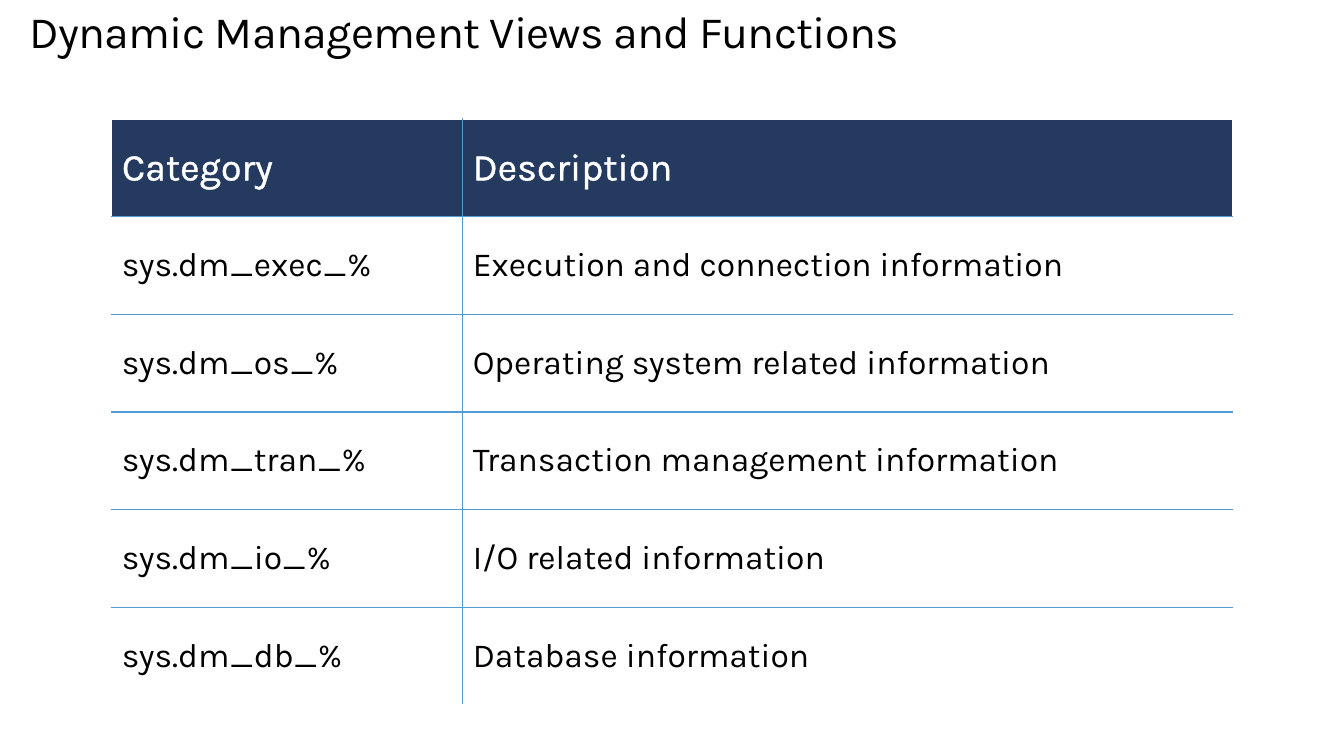
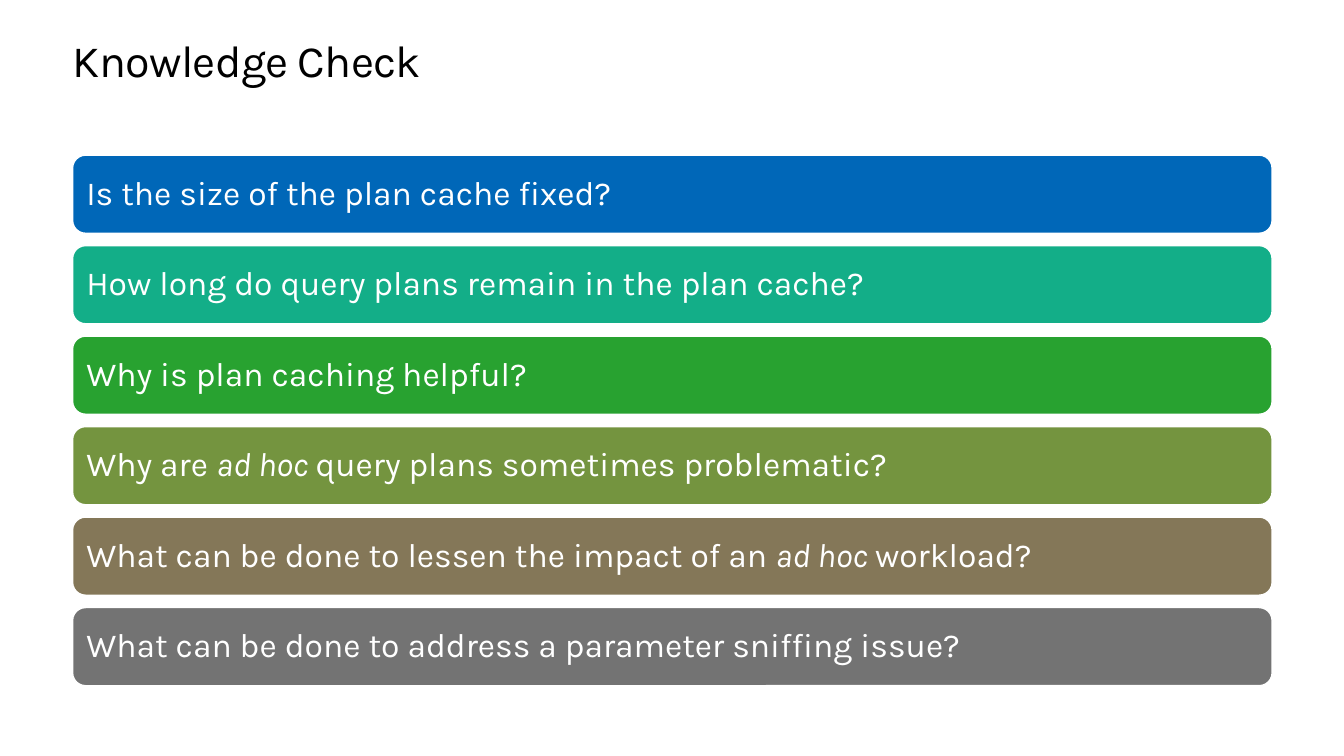
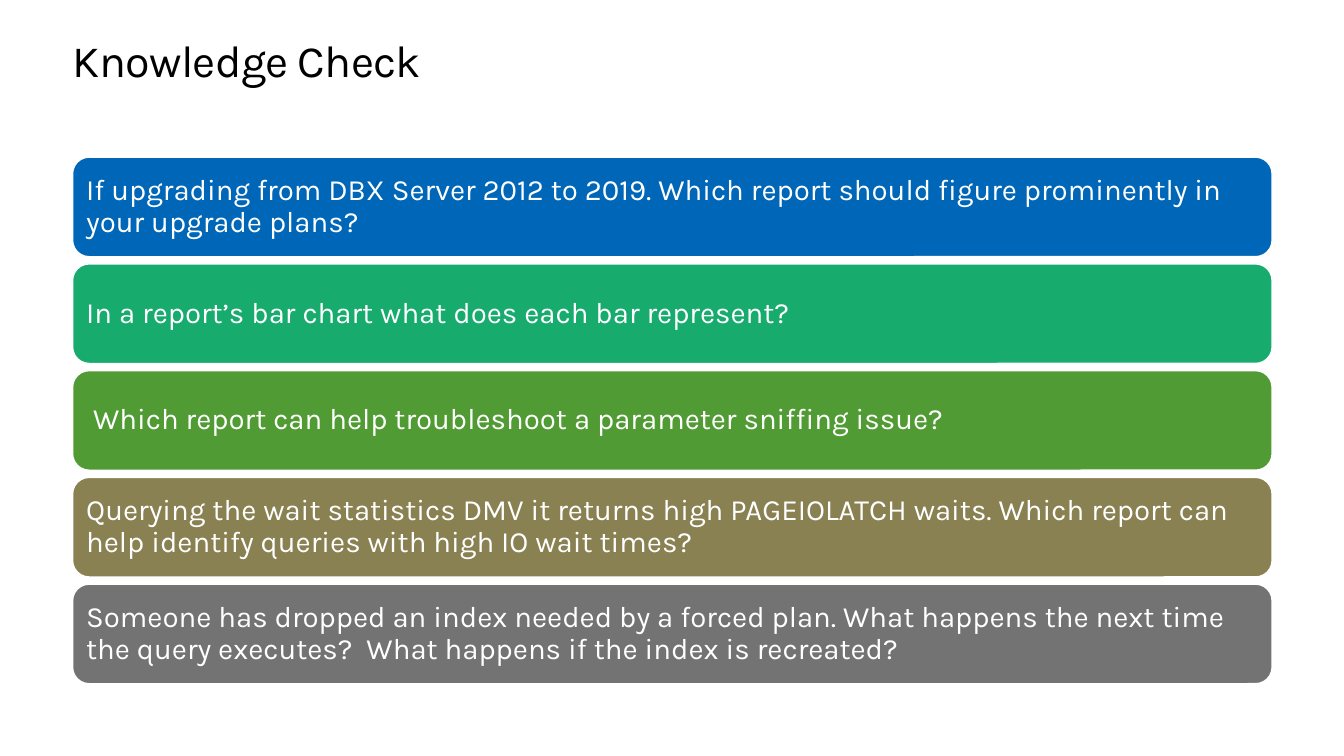
"""Build three training slides: a table of view categories and two knowledge checks."""
from lxml.etree import SubElement
from pptx import Presentation
from pptx.dml.color import RGBColor
from pptx.enum.shapes import MSO_SHAPE as SHAPE
from pptx.enum.text import MSO_ANCHOR as ANCHOR, MSO_AUTO_SIZE as AUTO_SIZE, PP_ALIGN as ALIGN
from pptx.oxml import parse_xml
from pptx.oxml.ns import nsdecls, qn
from pptx.util import Cm, Pt

COLORS = {
    "black": "000000", "white": "FFFFFF", "navy": "243A5E", "rule": "569AD2",
    "blue": "0067B8", "teal": "13AE88", "green": "28A230", "olive": "74943F",
    "brown": "847758", "gray": "737373", "jade": "18AB6E", "leaf": "519B34",
    "khaki": "898152",
}
FONT = "Karla"

CATEGORIES = {
    "title": "Dynamic Management Views and Functions",
    "title_box": (0.74, 0.18, 32.38, 1.27),
    "left": 2.82, "top": 3.0, "columns": (8.84, 19.4), "row_height": 2.46,
    "rows": [
        ("Category", "Description"),
        ("sys.dm_exec_%", "Execution and connection information"),
        ("sys.dm_os_%", "Operating system related information"),
        ("sys.dm_tran_%", "Transaction management information"),
        ("sys.dm_io_%", "I/O related information"),
        ("sys.dm_db_%", "Database information"),
    ],
}

CHECK_TITLE = "Knowledge Check"
CHECK_TITLE_BOX = (1.83, 0.89, 30.23, 1.27)
BAR_LEFT, BAR_WIDTH = 1.83, 30.23

# Text between asterisks is italic.
CHECKS = [
    {
        "top": 3.91, "height": 1.97, "gap": 0.31, "size": 24, "inset": 0.25,
        "bars": [
            ("blue", "Is the size of the plan cache fixed?"),
            ("teal", "How long do query plans remain in the plan cache?"),
            ("green", "Why is plan caching helpful?"),
            ("olive", "Why are *ad hoc *query plans sometimes problematic?"),
            ("brown", "What can be done to lessen the impact of an *ad hoc *workload?"),
            ("gray", "What can be done to address a parameter sniffing issue?"),
        ],
    },
    {
        "top": 3.96, "height": 2.51, "gap": 0.18, "size": 21, "inset": 0.22,
        "bars": [
            ("blue", "If upgrading from DBX Server 2012 to 2019. Which report should "
                     "figure prominently in your upgrade plans?"),
            ("jade", "In a report’s bar chart what does each bar represent?"),
            ("leaf", " Which report can help troubleshoot a parameter sniffing issue?"),
            ("khaki", "Querying the wait statistics DMV it returns high PAGEIOLATCH waits. "
                      "Which report can help identify queries with high IO wait times?"),
            ("gray", "Someone has dropped an index needed by a forced plan. What happens "
                     "the next time the query executes?  What happens if the index is "
                     "recreated?"),
        ],
    },
]


def rgb(name):
    """Return the named colour."""
    return RGBColor.from_string(COLORS[name])


def set_attrs(obj, **values):
    """Set several attributes of one object."""
    for name, value in values.items():
        setattr(obj, name, value)


def add_run(p, text, size, color, italic=False):
    """Add a formatted run to a paragraph."""
    r = p.add_run()
    r.text = text
    set_attrs(r.font, name=FONT, size=Pt(size), bold=False, italic=italic)
    r.font.color.rgb = rgb(color)
    return r


def add_slide(prs, title, box):
    """Add a title-only slide with the shared title style."""
    s = prs.slides.add_slide(prs.slide_layouts[5])
    sp = s.shapes.title
    set_attrs(sp, **dict(zip(("left", "top", "width", "height"), map(Cm, box))))
    tf = sp.text_frame
    set_attrs(tf, margin_left=0, margin_top=0, margin_right=0, margin_bottom=0,
              vertical_anchor=ANCHOR.TOP, word_wrap=True,
              auto_size=AUTO_SIZE.SHAPE_TO_FIT_TEXT)
    p = tf.paragraphs[0]
    set_attrs(p, alignment=ALIGN.LEFT, line_spacing=Pt(36.2))
    r = add_run(p, title, 32, "black")
    r.font._element.set("spc", "-50")
    return s


def set_borders(cell, **sides):
    """Draw the cell's borders in the given colours."""
    tc_pr = cell._tc.get_or_add_tcPr()
    for side, color in sides.items():
        ln = SubElement(tc_pr, qn(f"a:ln{side}"), w=str(Pt(1)))
        fill = SubElement(ln, qn("a:solidFill"))
        SubElement(fill, qn("a:srgbClr"), val=COLORS[color])


def add_outline(r, color):
    """Outline the letters of a run."""
    r.font._element.insert(0, parse_xml(
        f'<a:ln {nsdecls("a")} w="{Pt(0.75)}"><a:solidFill>'
        f'<a:srgbClr val="{COLORS[color]}"/></a:solidFill></a:ln>'))


def add_categories(s, spec):
    """Add the table of view categories."""
    rows, columns = spec["rows"], spec["columns"]
    last_row, last_col = len(rows) - 1, len(columns) - 1
    table = s.shapes.add_table(
        len(rows), len(columns), Cm(spec["left"]), Cm(spec["top"]),
        Cm(sum(columns)), Cm(spec["row_height"] * len(rows))).table
    table.horz_banding = False
    for column, width in zip(table.columns, columns):
        column.width = Cm(width)
    for i, texts in enumerate(rows):
        table.rows[i].height = Cm(spec["row_height"])
        header = i == 0
        for j, text in enumerate(texts):
            cell = table.cell(i, j)
            cell.vertical_anchor = ANCHOR.MIDDLE
            set_borders(cell,
                        L="white" if j == 0 else "rule",
                        R="white" if j == last_col else "rule",
                        T="white" if header else "rule",
                        B="white" if i == last_row else "rule")
            cell.fill.solid()
            cell.fill.fore_color.rgb = rgb("navy" if header else "white")
            r = add_run(cell.text_frame.paragraphs[0], text,
                        27 if header else 24, "white" if header else "black")
            if header:
                add_outline(r, "white")


def add_bars(s, check):
    """Add one rounded bar for each question."""
    for i, (color, text) in enumerate(check["bars"]):
        top = check["top"] + i * (check["height"] + check["gap"])
        sp = s.shapes.add_shape(SHAPE.ROUNDED_RECTANGLE, Cm(BAR_LEFT), Cm(top),
                                Cm(BAR_WIDTH), Cm(check["height"]))
        sp.shadow.inherit = False
        sp.fill.solid()
        sp.fill.fore_color.rgb = rgb(color)
        sp.line.color.rgb = rgb("white")
        sp.line.width = Pt(1)
        tf = sp.text_frame
        inset = Cm(check["inset"])
        set_attrs(tf, margin_left=inset, margin_top=inset, margin_right=inset,
                  margin_bottom=inset, vertical_anchor=ANCHOR.MIDDLE, word_wrap=True)
        p = tf.paragraphs[0]
        set_attrs(p, alignment=ALIGN.LEFT, line_spacing=0.9)
        for k, part in enumerate(text.split("*")):
            add_run(p, part, check["size"], "white", italic=k % 2 == 1)


def main():
    """Build and save the presentation."""
    prs = Presentation()
    set_attrs(prs, slide_width=Cm(33.87), slide_height=Cm(19.05))
    add_categories(add_slide(prs, CATEGORIES["title"], CATEGORIES["title_box"]), CATEGORIES)
    for check in CHECKS:
        add_bars(add_slide(prs, CHECK_TITLE, CHECK_TITLE_BOX), check)
    prs.save("out.pptx")


if __name__ == "__main__":
    main()
